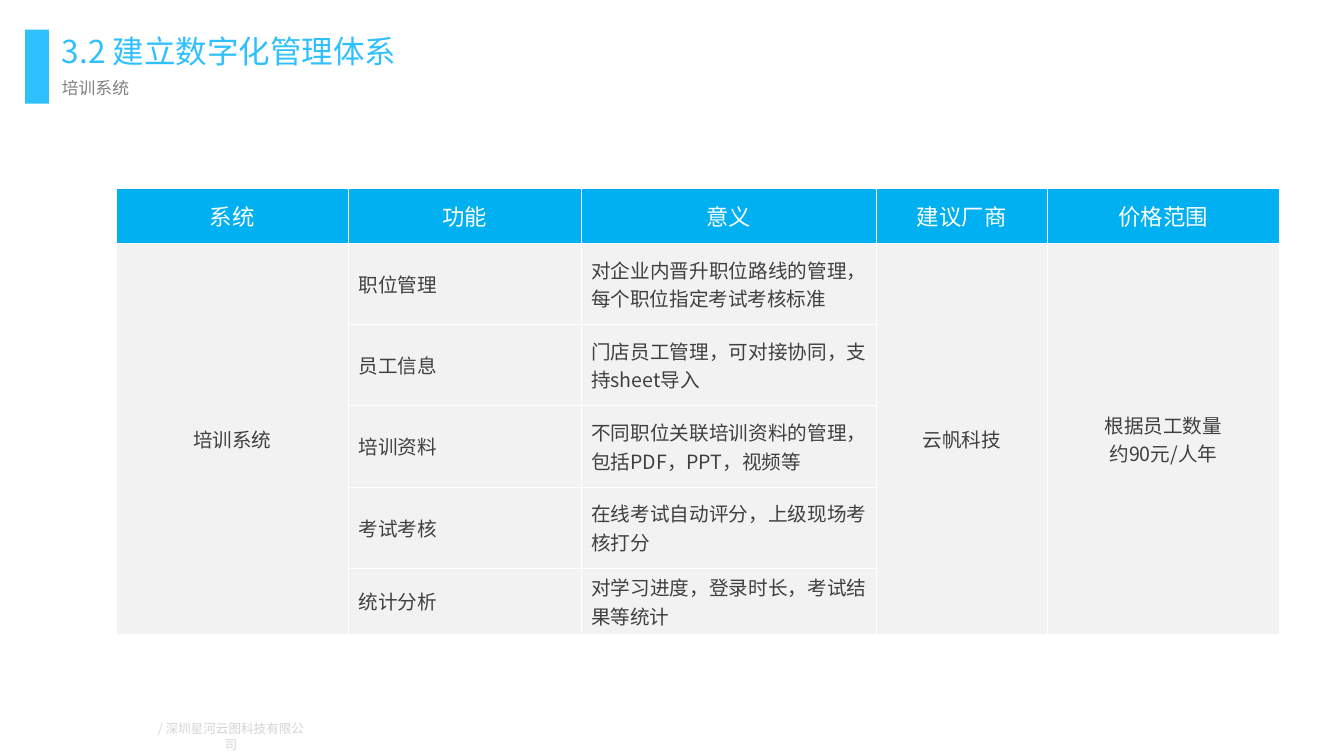
from lxml import etree
from pptx import Presentation
from pptx.dml.color import RGBColor
from pptx.enum import shapes, text
from pptx.oxml import ns
from pptx.util import Cm, Pt

FONT = "Noto Sans CJK SC"
WHITE = RGBColor(0xFF, 0xFF, 0xFF)
ACCENT = RGBColor(0x2F, 0xC0, 0xFF)
HEADER = RGBColor(0x00, 0xB0, 0xF0)
PANEL = RGBColor(0xF2, 0xF2, 0xF2)
INK = RGBColor(0x40, 0x40, 0x40)
GREY = RGBColor(0x80, 0x80, 0x80)
PALE = RGBColor(0xD6, 0xD5, 0xD5)

LEFT = text.PP_ALIGN.LEFT
CENTER = text.PP_ALIGN.CENTER
JUSTIFY = text.PP_ALIGN.JUSTIFY

TITLE = "3.2 建立数字化管理体系"
SUBTITLE = "培训系统"
FOOTER = "/ 深圳星河云图科技有限公司"
HEADINGS = ["系统", "功能", "意义", "建议厂商", "价格范围"]
FEATURES = [
    ("职位管理", "对企业内晋升职位路线的管理，每个职位指定考试考核标准"),
    ("员工信息", "门店员工管理，可对接协同，支持sheet导入"),
    ("培训资料", "不同职位关联培训资料的管理，包括PDF，PPT，视频等"),
    ("考试考核", "在线考试自动评分，上级现场考核打分"),
    ("统计分析", "对学习进度，登录时长，考试结果等统计"),
]
MERGED = {0: "培训系统", 3: "云帆科技", 4: "根据员工数量\n约90元/人年"}
COLUMN_WIDTHS = [11.73, 11.73, 14.88, 8.59, 11.73]
ROW_HEIGHTS = [2.77, 4.09, 4.09, 4.09, 4.09, 2.79]


def write(frame, content, size, color, align=LEFT):
    for index, line in enumerate(content.split("\n")):
        para = frame.paragraphs[0] if index == 0 else frame.add_paragraph()
        para.alignment = align
        span = para.add_run()
        span.text = line
        span.font.size = Pt(size)
        span.font.name = FONT
        span.font.color.rgb = color
        east = etree.SubElement(span.font._element, ns.qn("a:ea"))
        east.set("typeface", FONT)


def set_frame(frame):
    frame.word_wrap = True
    frame.auto_size = text.MSO_AUTO_SIZE.NONE
    frame.vertical_anchor = text.MSO_ANCHOR.MIDDLE
    frame.margin_left = frame.margin_right = Cm(0.2)
    frame.margin_top = frame.margin_bottom = Cm(0.2)
    return frame


def add_label(page, content, left, top, width, height, **style):
    box = page.shapes.add_textbox(Cm(left), Cm(top), Cm(width), Cm(height))
    write(set_frame(box.text_frame), content, **style)


def add_borders(cell, top, bottom):
    properties = cell._tc.get_or_add_tcPr()
    for side, width in (("L", 1), ("R", 1), ("T", top), ("B", bottom)):
        line = etree.SubElement(properties, ns.qn(f"a:ln{side}"), w=str(Pt(width)))
        fill = etree.SubElement(line, ns.qn("a:solidFill"))
        etree.SubElement(fill, ns.qn("a:srgbClr"), val=str(WHITE))


def format_cell(cell, fill, top=1, bottom=1, margins=(0.5, 0.25)):
    add_borders(cell, top, bottom)
    cell.fill.solid()
    cell.fill.fore_color.rgb = fill
    cell.vertical_anchor = text.MSO_ANCHOR.MIDDLE
    cell.margin_left = cell.margin_right = Cm(margins[0])
    cell.margin_top = cell.margin_bottom = Cm(margins[1])


def add_system_table(page):
    table = page.shapes.add_table(
        len(ROW_HEIGHTS), len(COLUMN_WIDTHS), Cm(5.84), Cm(9.5),
        Cm(sum(COLUMN_WIDTHS)), Cm(sum(ROW_HEIGHTS))).table
    for column, width in zip(table.columns, COLUMN_WIDTHS):
        column.width = Cm(width)
    for row, height in zip(table.rows, ROW_HEIGHTS):
        row.height = Cm(height)

    for column, heading in enumerate(HEADINGS):
        cell = table.cell(0, column)
        format_cell(cell, HEADER, bottom=3)
        write(cell.text_frame, heading, 32, WHITE, CENTER)
        for row in range(1, len(ROW_HEIGHTS)):
            margins = (0.25, 0.08) if column == 0 else (0.5, 0.25)
            format_cell(table.cell(row, column), PANEL,
                        top=3 if row == 1 else 1, margins=margins)

    for row, feature in enumerate(FEATURES, 1):
        for column, content in enumerate(feature, 1):
            write(table.cell(row, column).text_frame, content, 28, INK, JUSTIFY)
    for column, content in MERGED.items():
        cell = table.cell(1, column)
        cell.merge(table.cell(len(FEATURES), column))
        write(cell.text_frame, content, 28, INK, CENTER)


def main():
    deck = Presentation()
    deck.slide_width, deck.slide_height = Cm(67.74), Cm(38.1)
    page = deck.slides.add_slide(deck.slide_layouts[5])

    title = page.shapes.title
    title.left, title.top = Cm(2.92), Cm(1.5)
    title.width, title.height = Cm(61.54), Cm(2.11)
    write(set_frame(title.text_frame), TITLE, 45, ACCENT)

    bar = page.shapes.add_shape(shapes.MSO_SHAPE.RECTANGLE,
                                Cm(1.27), Cm(1.5), Cm(1.2), Cm(3.73))
    bar.shadow.inherit = False
    bar.fill.solid()
    bar.fill.fore_color.rgb = ACCENT
    bar.line.fill.background()

    add_label(page, SUBTITLE, 2.92, 3.73, 16.03, 1.42, size=24, color=GREY)
    add_system_table(page)
    add_label(page, FOOTER, 7.59, 36.53, 8.1, 1.17,
              size=18, color=PALE, align=CENTER)
    deck.save("out.pptx")


if __name__ == "__main__":
    main()
